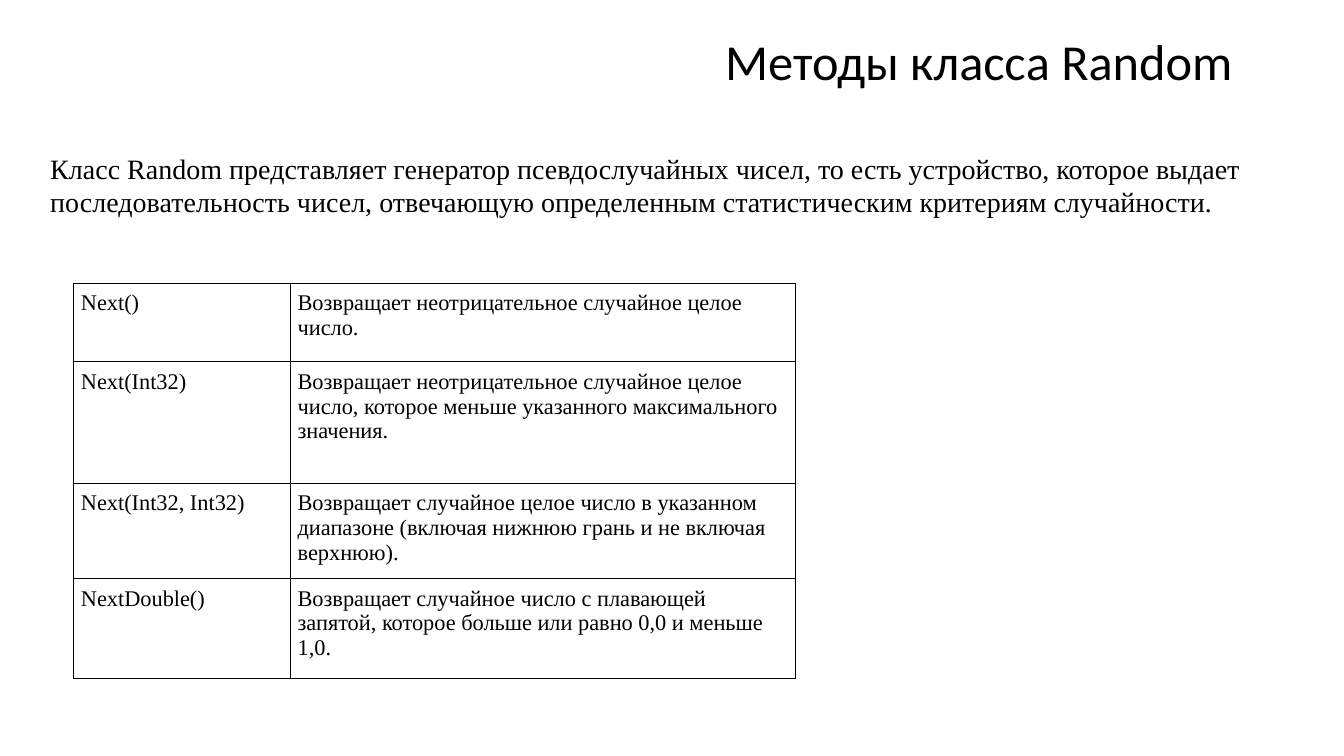
from lxml import etree
from pptx import Presentation
from pptx.dml.color import RGBColor
from pptx.enum.text import MSO_ANCHOR, PP_ALIGN
from pptx.oxml.ns import qn
from pptx.util import Pt

CENTER, LEFT = PP_ALIGN.CENTER, PP_ALIGN.LEFT
TOP, MIDDLE = MSO_ANCHOR.TOP, MSO_ANCHOR.MIDDLE

COLORS = {"text": "000000", "border": "000000"}
HEADING_FONT, BODY_FONT = "Calibri", "Times New Roman"

INTRO = (
    "Класс Random представляет генератор псевдослучайных чисел, то есть "
    "устройство, которое выдает последовательность чисел, отвечающую "
    "определенным статистическим критериям случайности."
)
# Signature, description, row height
METHODS = [
    ("Next()", "Возвращает неотрицательное случайное целое число.", 56.2),
    ("Next(Int32)", "Возвращает неотрицательное случайное целое число, "
     "которое меньше указанного максимального значения.", 87),
    ("Next(Int32, Int32)", "Возвращает случайное целое число в указанном "
     "диапазоне (включая нижнюю грань и не включая верхнюю).", 56.2),
    ("NextDouble()", "Возвращает случайное число с плавающей запятой, "
     "которое больше или равно 0,0 и меньше 1,0.", 71.3),
]
COLUMN_WIDTHS = (154.8, 360.7)
CELL_INSET, SIGNATURE_RIGHT_INSET = 5.2, 10.8


def write(frame, text, font, size, align=LEFT):
    paragraph = frame.paragraphs[0]
    paragraph.alignment = align
    run = paragraph.add_run()
    run.text = text
    run.font.name = font
    run.font.size = Pt(size)
    run.font.color.rgb = RGBColor.from_string(COLORS["text"])
    return paragraph


def add_text(slide, box, anchor):
    frame = slide.shapes.add_textbox(*map(Pt, box)).text_frame
    frame.word_wrap = True
    frame.vertical_anchor = anchor
    return frame


def add_heading(slide, box):
    frame = add_text(slide, box, MIDDLE)
    heading = write(frame, "Методы класса Random", HEADING_FONT, 36, CENTER)
    heading.line_spacing = 0.9


def add_intro(slide, box):
    write(add_text(slide, box, TOP), INTRO, BODY_FONT, 20)


def add_borders(cell):
    properties = cell._tc.get_or_add_tcPr()
    for position, side in enumerate(("a:lnL", "a:lnR", "a:lnT", "a:lnB")):
        line = etree.Element(qn(side), w=str(Pt(1)))
        fill = etree.SubElement(line, qn("a:solidFill"))
        etree.SubElement(fill, qn("a:srgbClr"), val=COLORS["border"])
        properties.insert(position, line)


def add_methods_table(slide, box):
    table = slide.shapes.add_table(
        len(METHODS), len(COLUMN_WIDTHS), *map(Pt, box)).table
    table.first_row = table.horz_banding = False
    for column, width in zip(table.columns, COLUMN_WIDTHS):
        column.width = Pt(width)
    for row, (signature, description, height) in zip(table.rows, METHODS):
        row.height = Pt(height)
        insets = (SIGNATURE_RIGHT_INSET, CELL_INSET)
        for cell, text, right in zip(row.cells, (signature, description), insets):
            cell.margin_left = cell.margin_top = cell.margin_bottom = Pt(CELL_INSET)
            cell.margin_right = Pt(right)
            cell.fill.background()
            add_borders(cell)
            write(cell.text_frame, text, BODY_FONT, 16)


def main():
    deck = Presentation()
    deck.slide_width, deck.slide_height = Pt(960), Pt(540)
    slide = deck.slides.add_slide(deck.slide_layouts[6])
    add_heading(slide, (480, 13.7, 438.5, 64.8))
    add_methods_table(slide, (52.6, 202.3, sum(COLUMN_WIDTHS),
                              sum(height for *_, height in METHODS)))
    add_intro(slide, (28.8, 104.4, 877, 55.4))
    deck.save("out.pptx")


if __name__ == "__main__":
    main()
